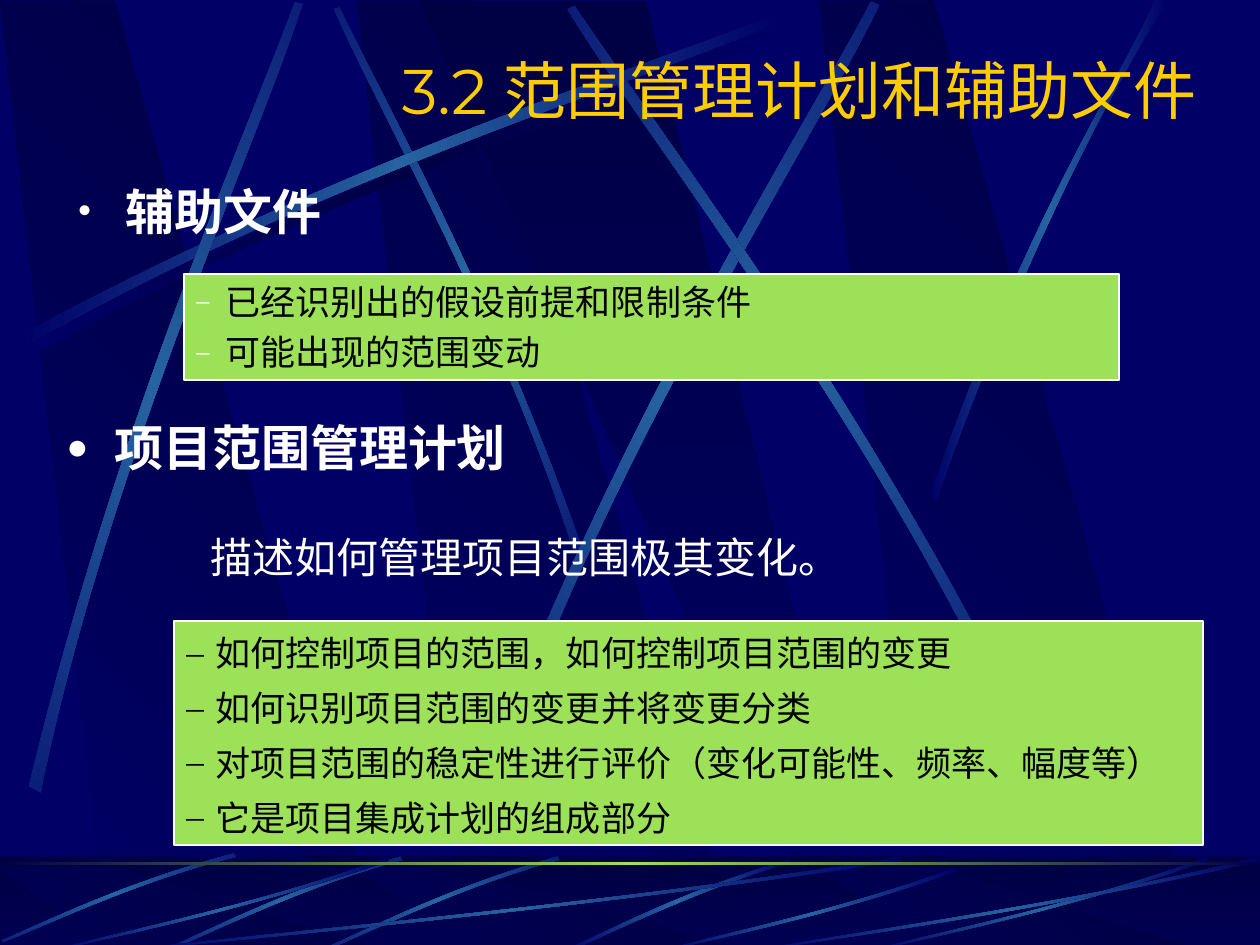
from lxml import etree
from pptx import Presentation
from pptx import util as u
from pptx.dml.color import RGBColor
from pptx.enum import shapes, text
from pptx.oxml import ns

SCALE = 914400 / 126
NAVY = RGBColor(0x00, 0x00, 0x66)
DARK = RGBColor(0x00, 0x00, 0x44)
BLUE = RGBColor(0x26, 0x63, 0xA0)
GREEN = RGBColor(0x9C, 0xE1, 0x57)
GOLD = RGBColor(0xFF, 0xCC, 0x00)
WHITE = RGBColor(0xFF, 0xFF, 0xFF)
BLACK = RGBColor(0x00, 0x00, 0x00)

GLOW = (NAVY, BLUE, NAVY)
SHADE = (NAVY, DARK, NAVY)
PANEL_LEFTS = (357, 0, 819)
LONG_STREAK = ((0, 323), (332, 145), (635, 51), (763, 0),
               (767, 7), (640, 64), (294, 167), (3, 336))
RIGHT_STREAK = ((0, 495), (96, 218), (189, 83), (225, 0),
                (238, 0), (123, 183), (39, 406), (7, 500))
FLOOR_STREAK = ((226, 0), (113, 34), (37, 76), (0, 91),
                (7, 92), (53, 70), (155, 23), (227, 4))
FLOOR_DIAGONAL = ((231, 101), (132, 45), (40, 16), (1, 0),
                  (0, 2), (38, 19), (142, 53), (230, 105))
FLOOR_SWEEP = ((777, 4), (440, 54), (134, 80), (4, 94),
               (0, 93), (129, 77), (479, 48), (774, 0))
STEEP_BOXES = (((178, 170, 557, 220), 45, True),
               ((-215, 229, 766, 336), 311.7, False),
               ((291, 202, 786, 379), 321.6, False),
               ((407, 192, 766, 336), 34.8, True))
DIAGONAL_BOXES = ((325, 852, 232, 105), (168, 852, 232, 105), (6, 845, 226, 107))
SWEEP_BOXES = ((126, 857, 777, 94), (53, 857, 336, 94), (664, 868, 291, 83),
               (872, 857, 336, 94), (756, 857, 504, 94))


def px(value):
    return u.Emu(round(value * SCALE))


def paint(shape, colors, angle=0):
    shape.shadow.inherit = False
    shape.line.fill.background()
    if len(colors) == 1:
        shape.fill.solid()
        shape.fill.fore_color.rgb = colors[0]
        return
    shape.fill.gradient()
    shape.fill.gradient_angle = -angle % 360
    stops = shape._element.spPr.find(".//" + ns.qn("a:gsLst"))
    for stop in list(stops):
        stops.remove(stop)
    for index, color in enumerate(colors):
        position = str(100000 * index // (len(colors) - 1))
        stop = etree.SubElement(stops, ns.qn("a:gs"), pos=position)
        etree.SubElement(stop, ns.qn("a:srgbClr"), val=str(color))


def add_outline(slide, points, colors, angle=0):
    builder = slide.shapes.build_freeform(*points[0], scale=SCALE)
    builder.add_line_segments(points[1:], close=True)
    shape = builder.convert_to_shape()
    paint(shape, colors, angle)
    return shape


def bend(segments):
    curve = etree.Element(ns.qn("a:cubicBezTo"))
    segments[0].addprevious(curve)
    for segment in segments:
        curve.append(segment[0])
        segment.getparent().remove(segment)


def add_streak(slide, design, box, rotation=0, mirrored=False, colors=GLOW):
    left, top, width, height = box
    design_width = max(x for x, y in design)
    design_height = max(y for x, y in design)
    points = []
    for x, y in design:
        across = (design_width - x if mirrored else x) / design_width
        points.append((left + width * across, top + height * y / design_height))
    shape = add_outline(slide, points, colors)
    segments = shape._element.spPr.findall(".//" + ns.qn("a:lnTo"))
    bend(segments[0:3])
    bend(segments[4:7])
    shape.rotation = rotation


def add_panels(slide, top, bottom):
    panel = ((108, bottom), (381, bottom), (115, top), (0, top))
    for left in PANEL_LEFTS:
        add_outline(slide, [(left + x, y) for x, y in panel], (NAVY, DARK), 315)
    wedge = ((420, top), (829, bottom), (874, bottom), (646, top))
    add_outline(slide, wedge, (DARK, NAVY), 90)


def add_box(slide, left, top, width, height, colors, angle=0):
    shape = slide.shapes.add_shape(
        shapes.MSO_SHAPE.RECTANGLE, px(left), px(top), px(width), px(height))
    paint(shape, colors, angle)
    return shape


def add_backdrop(slide):
    add_panels(slide, 1, 947)
    add_streak(slide, LONG_STREAK, (25, 23, 766, 336), colors=SHADE)
    (first, *others) = STEEP_BOXES
    add_streak(slide, LONG_STREAK, *first)
    add_streak(slide, LONG_STREAK, (18, 13, 766, 336))
    for steep in others:
        add_streak(slide, LONG_STREAK, *steep)
    add_streak(slide, RIGHT_STREAK, (930, 0, 238, 500))


def add_floor(slide):
    add_box(slide, 0, 857, 1260, 94, (DARK, NAVY), 90)
    add_panels(slide, 867, 950)
    veil = add_box(slide, 0, 856, 1260, 94, (DARK,))
    color = veil._element.spPr.find(".//" + ns.qn("a:srgbClr"))
    etree.SubElement(color, ns.qn("a:alpha"), val="50000")
    add_streak(slide, FLOOR_STREAK, (564, 859, 227, 92))
    for box in DIAGONAL_BOXES:
        add_streak(slide, FLOOR_DIAGONAL, box, 314.9)
    for box in SWEEP_BOXES:
        add_streak(slide, FLOOR_SWEEP, box)
    add_box(slide, 0, 862, 1260, 3, (DARK, GREEN, DARK))


def add_bullet(paragraph, symbol, color, percent, indent):
    properties = paragraph._p.get_or_add_pPr()
    properties.set("marL", str(px(indent)))
    properties.set("indent", str(-px(indent)))
    bullet_color = etree.SubElement(properties, ns.qn("a:buClr"))
    etree.SubElement(bullet_color, ns.qn("a:srgbClr"), val=str(color))
    etree.SubElement(properties, ns.qn("a:buSzPct"), val=str(percent * 1000))
    etree.SubElement(properties, ns.qn("a:buFont"), typeface="Times New Roman")
    etree.SubElement(properties, ns.qn("a:buChar"), char=symbol)


def write(shape, lines, font, size, color, bold=False, align=text.PP_ALIGN.LEFT,
          anchor=text.MSO_ANCHOR.TOP, wrap=True, spacing=1.0, before=0, bullet=None):
    frame = shape.text_frame
    frame.word_wrap = wrap
    frame.vertical_anchor = anchor
    for index, line in enumerate(lines):
        paragraph = frame.add_paragraph() if index else frame.paragraphs[0]
        paragraph.alignment = align
        paragraph.line_spacing = spacing
        paragraph.space_before = u.Pt(before)
        if bullet:
            add_bullet(paragraph, *bullet)
        run = paragraph.add_run()
        run.text = line
        run.font.name = font
        run.font.size = u.Pt(size)
        run.font.bold = bold
        run.font.color.rgb = color


def add_label(slide, left, top, width, height, line, *style, **layout):
    shape = slide.shapes.add_textbox(px(left), px(top), px(width), px(height))
    write(shape, [line], *style, **layout)


def add_heading(slide, left, top, width, height, line, symbol, percent):
    add_label(slide, left, top, width, height, line, "Arial", 28, WHITE, bold=True,
              spacing=0.8, before=7, bullet=(symbol, WHITE, percent, 48))


def add_list(slide, left, top, width, height, lines, font, spacing, color, percent):
    shape = add_box(slide, left, top, width, height, (GREEN,))
    shape.line.color.rgb = WHITE
    shape.line.width = u.Pt(0.75)
    write(shape, lines, font, 20, BLACK, spacing=spacing, before=5,
          bullet=("–", color, percent, 29))


def main():
    presentation = Presentation()
    presentation.slide_width = px(1260)
    presentation.slide_height = px(945)
    slide = presentation.slides.add_slide(presentation.slide_layouts[6])
    slide.background.fill.solid()
    slide.background.fill.fore_color.rgb = NAVY
    add_backdrop(slide)
    add_floor(slide)
    add_label(slide, 138, 45, 1071, 88, "3.2 范围管理计划和辅助文件", "Montserrat", 36, GOLD,
              align=text.PP_ALIGN.RIGHT, anchor=text.MSO_ANCHOR.MIDDLE)
    add_heading(slide, 65, 187, 1071, 76, "辅助文件", "•", 85)
    add_list(slide, 174, 621, 1029, 224, [
        "如何控制项目的范围，如何控制项目范围的变更",
        "如何识别项目范围的变更并将变更分类",
        "对项目范围的稳定性进行评价（变化可能性、频率、幅度等）",
        "它是项目集成计划的组成部分",
    ], "Cabin", 1.1, BLACK, 100)
    add_list(slide, 184, 274, 935, 106, [
        "已经识别出的假设前提和限制条件",
        "可能出现的范围变动",
    ], "Arial", 1.0, WHITE, 75)
    add_heading(slide, 54, 423, 1103, 73, "项目范围管理计划", "●", 75)
    add_label(slide, 74, 522, 902, 69, "描述如何管理项目范围极其变化。", "Times New Roman", 24,
              WHITE, align=text.PP_ALIGN.CENTER, anchor=text.MSO_ANCHOR.MIDDLE, wrap=False)
    presentation.save("out.pptx")


if __name__ == "__main__":
    main()
